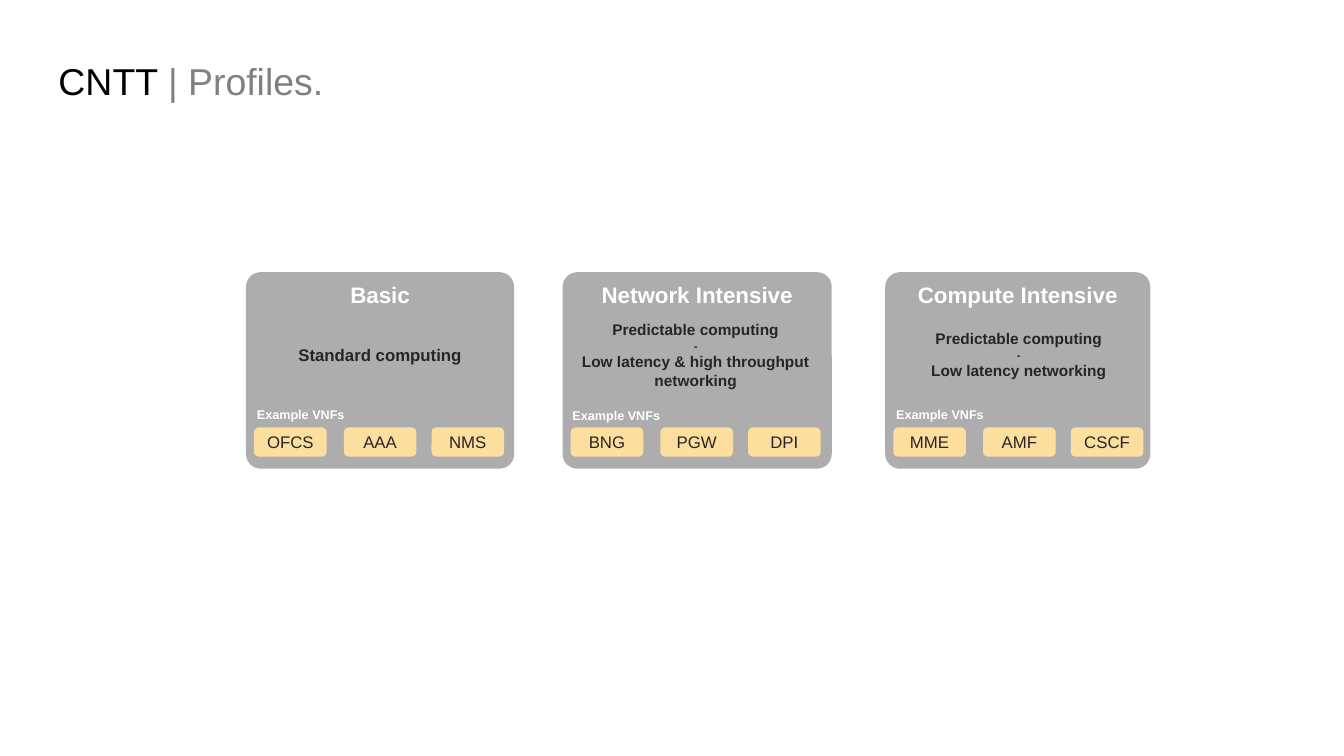
from pptx import Presentation
from pptx.dml.color import RGBColor
from pptx.enum.shapes import MSO_SHAPE
from pptx.enum.text import MSO_ANCHOR, MSO_AUTO_SIZE, PP_ALIGN
from pptx.oxml.ns import qn
from pptx.util import Inches, Pt

ROUND = MSO_SHAPE.ROUNDED_RECTANGLE
TOP, MIDDLE = MSO_ANCHOR.TOP, MSO_ANCHOR.MIDDLE
LEFT, CENTER = PP_ALIGN.LEFT, PP_ALIGN.CENTER
FIXED = MSO_AUTO_SIZE.NONE

BLACK = RGBColor(0x00, 0x00, 0x00)
WHITE = RGBColor(0xFF, 0xFF, 0xFF)
GRAY = RGBColor(0x80, 0x80, 0x80)
DARK = RGBColor(0x26, 0x26, 0x26)
SLATE = RGBColor(0x5C, 0x5C, 0x5C)
CREAM = RGBColor(0xFC, 0xDF, 0x9E)

COMPUTE = ("Predictable computing", 11)
DASH = ("-", 8)
CARDS = [
    ("Basic", (2.44, 2.66), (2.45, 3.99), (2.44, 3.37, 2.66, 0.3),
     [("Standard computing", 12)], ("OFCS", "AAA", "NMS")),
    ("Network Intensive", (5.58, 2.67), (5.58, 4), (5.5, 3.13, 2.8, 0.79),
     [COMPUTE, DASH, ("Low latency & high throughput networking", 11)],
     ("BNG", "PGW", "DPI")),
    ("Compute Intensive", (8.78, 2.63), (8.79, 3.99), (8.79, 3.22, 2.63, 0.61),
     [COMPUTE, DASH, ("Low latency networking", 11)],
     ("MME", "AMF", "CSCF")),
]
STEPS = (0.08, 0.97, 1.84)


def write(para, text, size=12, color=DARK, bold=False, align=CENTER):
    para.alignment = align
    run = para.add_run()
    run.text = text
    font = run.font
    font.name = "Arial"
    font.size = Pt(size)
    font.bold = bold
    font.color.rgb = color


class Deck:
    def __init__(self, prs):
        self.slide = prs.slides.add_slide(prs.slide_layouts[5])
        self.shapes = self.slide.shapes

    def title(self, parts, x, y, w, h):
        box = self.shapes.title
        box.left, box.top, box.width, box.height = map(Inches, (x, y, w, h))
        frame = box.text_frame
        frame.auto_size = FIXED
        frame.vertical_anchor = TOP
        for text, color in parts:
            write(frame.paragraphs[0], text, size=26.7, color=color, align=LEFT)

    def block(self, x, y, w, h, fill, text, anchor=MIDDLE, **style):
        shape = self.shapes.add_shape(ROUND, *map(Inches, (x, y, w, h)))
        shape.shadow.inherit = False
        shape.fill.solid()
        shape.fill.fore_color.rgb = fill
        shape.line.fill.background()
        shape.text_frame.vertical_anchor = anchor
        write(shape.text_frame.paragraphs[0], text, **style)
        return shape

    def panel(self, x, y, w, h, text):
        shape = self.block(x, y, w, h, SLATE, text, anchor=TOP,
                           size=16, color=WHITE, bold=True)
        shape.adjustments[0] = 0.075
        tint = shape.fill._xPr.find(qn("a:solidFill")).find(qn("a:srgbClr"))
        alpha = tint.makeelement(qn("a:alpha"), {"val": "50000"})
        tint.append(alpha)

    def label(self, x, y, w, h, lines, **style):
        frame = self.shapes.add_textbox(*map(Inches, (x, y, w, h))).text_frame
        frame.word_wrap = True
        for i, (text, size) in enumerate(lines):
            para = frame.add_paragraph() if i else frame.paragraphs[0]
            write(para, text, size=size, bold=True, **style)

    def card(self, name, span, note, area, lines, chips):
        x, w = span
        self.panel(x, 2.7, w, 1.95, name)
        self.label(*area, lines)
        self.label(*note, 1.1, 0.25, [("Example VNFs", 9)],
                   color=WHITE, align=LEFT)
        for step, chip in zip(STEPS, chips):
            self.block(x + step, 4.24, 0.72, 0.29, CREAM, chip)


def main():
    prs = Presentation()
    prs.slide_width = Inches(13.33)
    prs.slide_height = Inches(7.5)
    deck = Deck(prs)
    deck.title([("CNTT ", BLACK), ("| Profiles.", GRAY)], 0.48, 0.53, 10.9, 0.64)
    for card in CARDS:
        deck.card(*card)
    prs.save("out.pptx")


if __name__ == "__main__":
    main()
